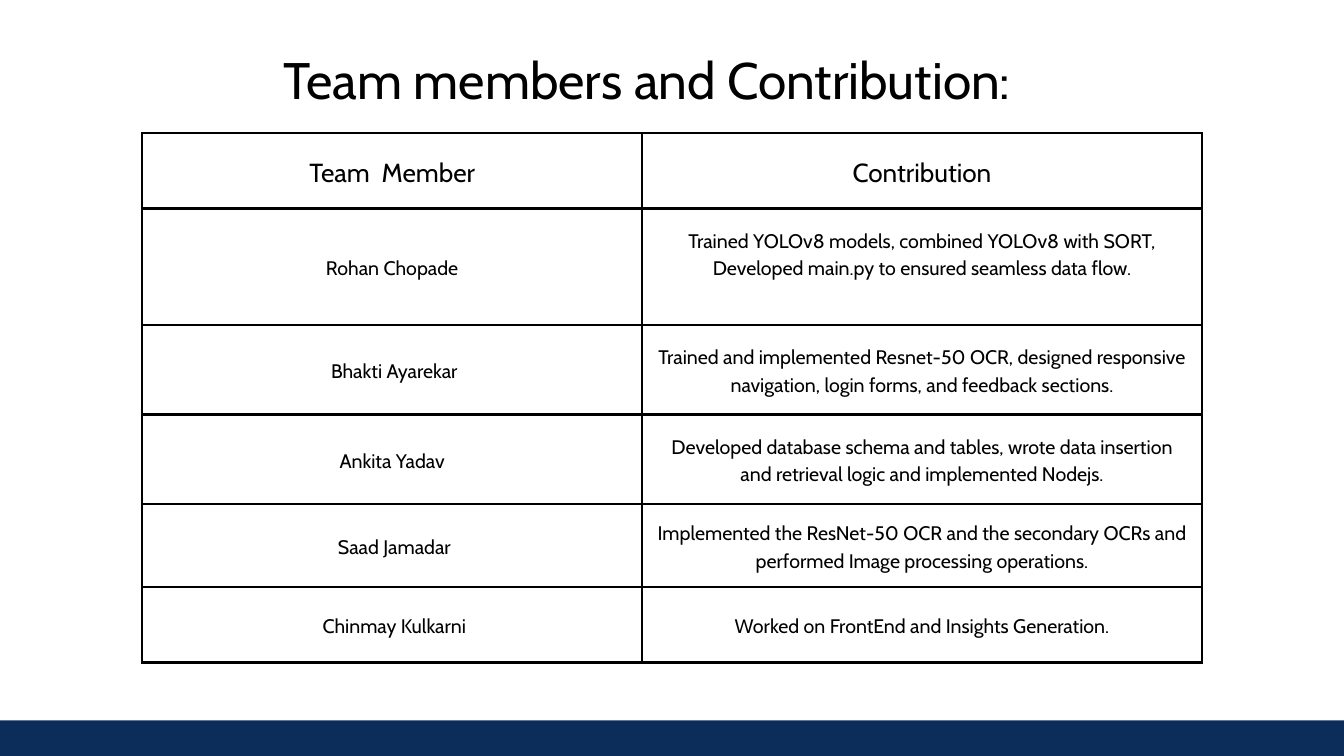
from typing import NamedTuple

from lxml.etree import SubElement
from pptx import Presentation
from pptx.dml.color import RGBColor
from pptx.enum.shapes import MSO_SHAPE
from pptx.enum.text import MSO_ANCHOR, PP_ALIGN
from pptx.oxml.ns import qn
from pptx.slide import Slide
from pptx.table import _Cell
from pptx.text.text import TextFrame
from pptx.util import Inches, Pt

WIDTH, HEIGHT = 20, 11.25
BLACK, NAVY = "000000", "0C2D5A"
LEADING = 1.4
PADDING = 0.21
BORDER = 3
COLUMNS = (7.44, 8.33)


class Member(NamedTuple):
    """One row of the team table."""

    name: str
    contribution: str
    height: float
    size: float = 21
    lift: float = 0


TEAM = (
    Member("Team  Member", "Contribution", 1.12, size=28),
    Member(
        "Rohan Chopade",
        "Trained YOLOv8 models, combined YOLOv8 with SORT, "
        "Developed main.py to ensured seamless data flow.",
        1.74,
        lift=0.41,
    ),
    Member(
        " Bhakti Ayarekar",
        "Trained and implemented Resnet-50 OCR, designed responsive "
        "navigation, login forms, and feedback sections.",
        1.33,
    ),
    Member(
        "Ankita Yadav",
        "Developed database schema and tables, wrote data insertion "
        "and retrieval logic and implemented Nodejs.",
        1.33,
    ),
    Member(
        " Saad Jamadar",
        "Implemented the ResNet-50 OCR and the secondary OCRs and "
        "performed Image processing operations.",
        1.24,
    ),
    Member(" Chinmay Kulkarni", "Worked on FrontEnd and Insights Generation.", 1.12),
)


def color(value: str) -> RGBColor:
    """Turn a hex string into a colour."""
    return RGBColor.from_string(value)


def write(frame: TextFrame, words: str, size: float) -> None:
    """Fill a text frame with one centred paragraph."""
    frame.word_wrap = True
    paragraph = frame.paragraphs[0]
    paragraph.text = words
    paragraph.alignment = PP_ALIGN.CENTER
    paragraph.line_spacing = Pt(size * LEADING)
    paragraph.font.name = "Cabin"
    paragraph.font.size = Pt(size)
    paragraph.font.color.rgb = color(BLACK)


def outline(cell: _Cell) -> None:
    """Draw a border on all four sides of a cell."""
    properties = cell._tc.get_or_add_tcPr()
    for side in ("a:lnL", "a:lnR", "a:lnT", "a:lnB"):
        line = SubElement(properties, qn(side), w=str(Pt(BORDER)))
        fill = SubElement(line, qn("a:solidFill"))
        SubElement(fill, qn("a:srgbClr"), val=BLACK)


def fill_cell(cell: _Cell, words: str, size: float, lift: float = 0) -> None:
    """Write and style one table cell, raising its text by extra bottom padding."""
    write(cell.text_frame, words, size)
    cell.vertical_anchor = MSO_ANCHOR.MIDDLE
    cell.margin_left = cell.margin_right = cell.margin_top = Inches(PADDING)
    cell.margin_bottom = Inches(PADDING + lift)
    outline(cell)
    cell.fill.background()


def add_footer(slide: Slide) -> None:
    """Draw the band along the bottom edge."""
    top = 10.72
    band = slide.shapes.add_shape(
        MSO_SHAPE.RECTANGLE, 0, Inches(top), Inches(WIDTH), Inches(HEIGHT - top)
    )
    band.shadow.inherit = False
    band.fill.solid()
    band.fill.fore_color.rgb = color(NAVY)
    band.line.fill.background()


def add_team(slide: Slide) -> None:
    """Draw the table of members and contributions."""
    table = slide.shapes.add_table(
        len(TEAM),
        len(COLUMNS),
        Inches((WIDTH - sum(COLUMNS)) / 2),
        Inches(1.98),
        Inches(sum(COLUMNS)),
        Inches(sum(member.height for member in TEAM)),
    ).table
    table.first_row = table.horz_banding = False
    for column, width in zip(table.columns, COLUMNS):
        column.width = Inches(width)
    for row, member in zip(table.rows, TEAM):
        row.height = Inches(member.height)
        name, contribution = row.cells
        fill_cell(name, member.name, member.size)
        fill_cell(contribution, member.contribution, member.size, member.lift)


def add_title(slide: Slide) -> None:
    """Write the slide's title."""
    title = slide.shapes.add_textbox(
        Inches(2.85), Inches(0.57), Inches(13.55), Inches(1.01)
    ).text_frame
    title.margin_left = title.margin_right = 0
    title.margin_top = title.margin_bottom = 0
    write(title, "Team members and Contribution:", 55)


def main() -> None:
    """Build and save the slide."""
    presentation = Presentation()
    presentation.slide_width = Inches(WIDTH)
    presentation.slide_height = Inches(HEIGHT)
    slide = presentation.slides.add_slide(presentation.slide_layouts[6])
    add_footer(slide)
    add_team(slide)
    add_title(slide)
    presentation.save("out.pptx")


if __name__ == "__main__":
    main()
